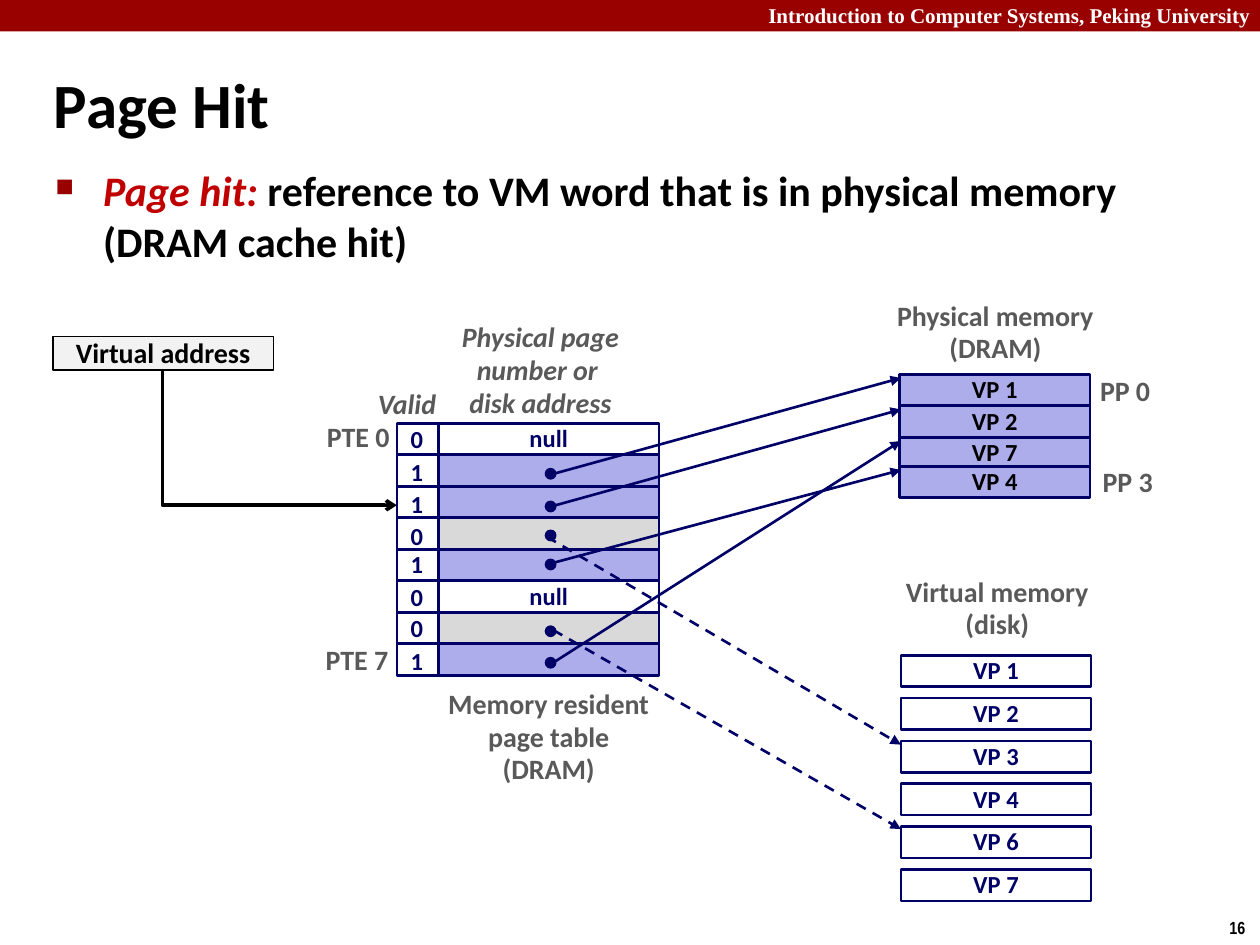
from lxml.etree import SubElement
from pptx import Presentation
from pptx.dml.color import RGBColor
from pptx.enum.dml import MSO_LINE
from pptx.enum.shapes import MSO_CONNECTOR as CONN, MSO_SHAPE as SHAPE
from pptx.enum.text import MSO_ANCHOR as ANCHOR, MSO_AUTO_SIZE as AUTO, PP_ALIGN as ALIGN
from pptx.oxml.ns import qn
from pptx.util import Inches, Pt

COLORS = {"bar": "990000", "white": "FFFFFF", "black": "000000", "red": "C00000",
          "navy": "000066", "cached": "ADADEB", "disk": "D9D9D9", "null": "FFFFFF",
          "label": "595959", "address": "F2F2F2"}

HEADER = "Introduction to Computer Systems, Peking University"
TITLE = "Page Hit"
BODY = [("Page hit: ", "red", True),
        ("reference to VM word that is in physical memory (DRAM cache hit)", "black", False)]

# valid bit, kind of entry, top of the digit, top of the dot
PTES = [("0", "null", 33.3, None), ("1", "cached", 35.9, 37.2),
        ("1", "cached", 38.4, 39.8), ("0", "disk", 41.0, 42.1),
        ("1", "cached", 43.2, 44.4), ("0", "null", 45.8, None),
        ("0", "disk", 48.3, 49.7), ("1", "cached", 50.9, 52.2)]
PHYSICAL = [("VP 7", 34.7), ("VP 4", 37.0), ("VP 2", 32.2), ("VP 1", 29.7)]
VIRTUAL = ["VP 1", "VP 2", "VP 3", "VP 4", "VP 6", "VP 7"]

ARROWS = [((43.6, 37.7), 30.0, False), ((44.1, 40.1), 32.5, False),
          ((43.4, 42.6), 59.1, True), ((43.8, 44.7), 37.3, False),
          ((43.9, 50.0), 65.8, True), ((43.9, 52.6), 35.0, False)]

LABELS = [
    (["Memory resident", "page table", "(DRAM)"], (34.3, 54.1, 18.5, 8.9), ALIGN.CENTER, False),
    (["Physical memory", "(DRAM)"], (70.1, 23.3, 17.8, 6.3), ALIGN.CENTER, False),
    (["Virtual memory", "(disk)"], (70.7, 45.2, 16.9, 6.3), ALIGN.CENTER, False),
    (["Physical page", "number or ", "disk address"], (35.6, 25.0, 14.6, 8.9), ALIGN.CENTER, True),
    (["Valid"], (29.0, 30.3, 7.5, 3.7), ALIGN.LEFT, True),
    (["PTE 0"], (24.9, 32.9, 7.0, 3.7), ALIGN.RIGHT, False),
    (["PTE 7"], (24.8, 50.6, 7.0, 3.7), ALIGN.RIGHT, False),
    (["PP 0"], (86.3, 29.3, 6.0, 3.7), ALIGN.CENTER, False),
    (["PP 3"], (86.5, 36.5, 6.0, 3.7), ALIGN.CENTER, False),
]

prs = Presentation()
prs.slide_width, prs.slide_height = Inches(10), Inches(7.5)
UNIT = prs.slide_width / 100
ROW, VALID_X, VALID_W, ENTRY_W, TABLE_Y = 2.5, 31.5, 3.3, 17.5, 33.6
MEM_W, VIRTUAL_X, VIRTUAL_Y, VIRTUAL_STEP = 15.1, 71.5, 52.0, 3.4
DOT_X, DOT = 43.3, 0.8
slide = prs.slides.add_slide(prs.slide_layouts[6])
shapes = slide.shapes


def grid(*cells):
    return [round(c * UNIT) for c in cells]


def rgb(name):
    return RGBColor.from_string(COLORS[name])


def add_run(p, text, size, color, font="Calibri", italic=False):
    r = p.add_run()
    r.text = text
    r.font.name, r.font.size = font, Pt(size)
    r.font.bold, r.font.italic = True, italic
    r.font.color.rgb = rgb(color)


def add_lines(tf, lines, size, color, align=ALIGN.LEFT, spacing=0.98, **style):
    for i, line in enumerate(lines):
        p = tf.add_paragraph() if i else tf.paragraphs[0]
        p.alignment, p.line_spacing = align, spacing
        add_run(p, line, size, color, **style)


def add_text(box, lines, size, color, wrap=False, grow=True, anchor=ANCHOR.TOP, **style):
    tf = shapes.add_textbox(*grid(*box)).text_frame
    tf.word_wrap, tf.vertical_anchor = wrap, anchor
    tf.auto_size = AUTO.SHAPE_TO_FIT_TEXT if grow else AUTO.NONE
    add_lines(tf, lines, size, color, **style)
    return tf


def add_box(box, fill=None, line="navy", width=1.5, text=None, size=14,
            color="navy", kind=SHAPE.RECTANGLE):
    sp = shapes.add_shape(kind, *grid(*box))
    sp.shadow.inherit = False
    for part, name in ((sp.fill, fill), (sp.line.fill, line)):
        if name:
            part.solid()
            part.fore_color.rgb = rgb(name)
        else:
            part.background()
    if line:
        sp.line.width = Pt(width)
    if text:
        tf = sp.text_frame
        tf.word_wrap, tf.vertical_anchor = False, ANCHOR.MIDDLE
        add_lines(tf, [text], size, color, ALIGN.CENTER)
    return sp


def add_arrow(kind, start, end, color, width, head, dashed=False):
    cx = shapes.add_connector(kind, *grid(*start, *end))
    cx.line.color.rgb, cx.line.width = rgb(color), Pt(width)
    if dashed:
        cx.line.dash_style = MSO_LINE.DASH
    SubElement(cx.line._get_or_add_ln(), qn("a:tailEnd"), type=head)
    SubElement(cx._element.spPr, qn("a:effectLst"))
    return cx


add_box((0, 0, 100, 2.5), "bar", None)
add_text((60, -0.3, 40.7, 3), [HEADER], 12, "white", wrap=True, spacing=1, font="Times New Roman")
add_text((96.6, 72.3, 3.4, 2.7), ["16"], 10, "black", spacing=1, font="Arial Narrow")
add_text((3.3, 3.9, 90.6, 8.6), [TITLE], 36, "black", wrap=True, grow=False,
         anchor=ANCHOR.MIDDLE, spacing=1)

p = add_text((3.4, 12.6, 90.9, 6.6), [], 24, "black", wrap=True, grow=False).paragraphs[0]
pPr = p._p.get_or_add_pPr()
pPr.set("marL", str(Inches(0.38)))
pPr.set("indent", str(-Inches(0.38)))
SubElement(SubElement(pPr, qn("a:buClr")), qn("a:srgbClr"), val=COLORS["bar"])
SubElement(pPr, qn("a:buSzPct"), val="60000")
SubElement(pPr, qn("a:buChar"), char="■")
for text, color, italic in BODY:
    add_run(p, text, 24, color, italic=italic)

valid_cells = []
for i, (bit, kind, digit_y, dot_y) in enumerate(PTES):
    y = TABLE_Y + i * ROW
    add_box((VALID_X + VALID_W, y, ENTRY_W, ROW), kind, text="null" if kind == "null" else None)
    valid_cells.append(add_box((VALID_X, y, VALID_W, ROW)))

for name, y in PHYSICAL:
    add_box((71.4, y, MEM_W, ROW), "cached", text=name, color="black")
for i, name in enumerate(VIRTUAL):
    add_box((VIRTUAL_X, VIRTUAL_Y + i * VIRTUAL_STEP, MEM_W, ROW), "white", text=name)

for start, end_y, dashed in ARROWS:
    add_arrow(CONN.STRAIGHT, start, (VIRTUAL_X, end_y), "navy", 1.5, "triangle", dashed)

for bit, kind, digit_y, dot_y in PTES:
    add_text((31.6, digit_y, 3.1, 3.3), [bit], 14, "navy")
    if dot_y:
        add_box((DOT_X, dot_y, DOT, DOT), "navy", width=1, kind=SHAPE.OVAL)

for lines, box, align, italic in LABELS:
    add_text(box, lines, 16, "label", wrap=lines == ["Valid"], align=align, italic=italic)

address = add_box((4.2, 26.7, 17.5, 2.7), "address", "black", 1, "Virtual address", 16, "black")
start, end = (12.9, 29.3), (VALID_X, 40.1)
cx = add_arrow(CONN.ELBOW, start, end, "black", 2, "arrow")
cx.begin_connect(address, 2)
cx.end_connect(valid_cells[2], 1)
across, down = end[0] - start[0], end[1] - start[1]
cx.left, cx.top, cx.width, cx.height = grid(
    (start[0] + end[0] - down) / 2, (start[1] + end[1] - across) / 2, down, across)
xfrm = cx._element.spPr.find(qn("a:xfrm"))
xfrm.set("rot", "16200000")
xfrm.set("flipH", "1")
cx._element.spPr.find(qn("a:prstGeom")).set("prst", "bentConnector2")

prs.save("out.pptx")
